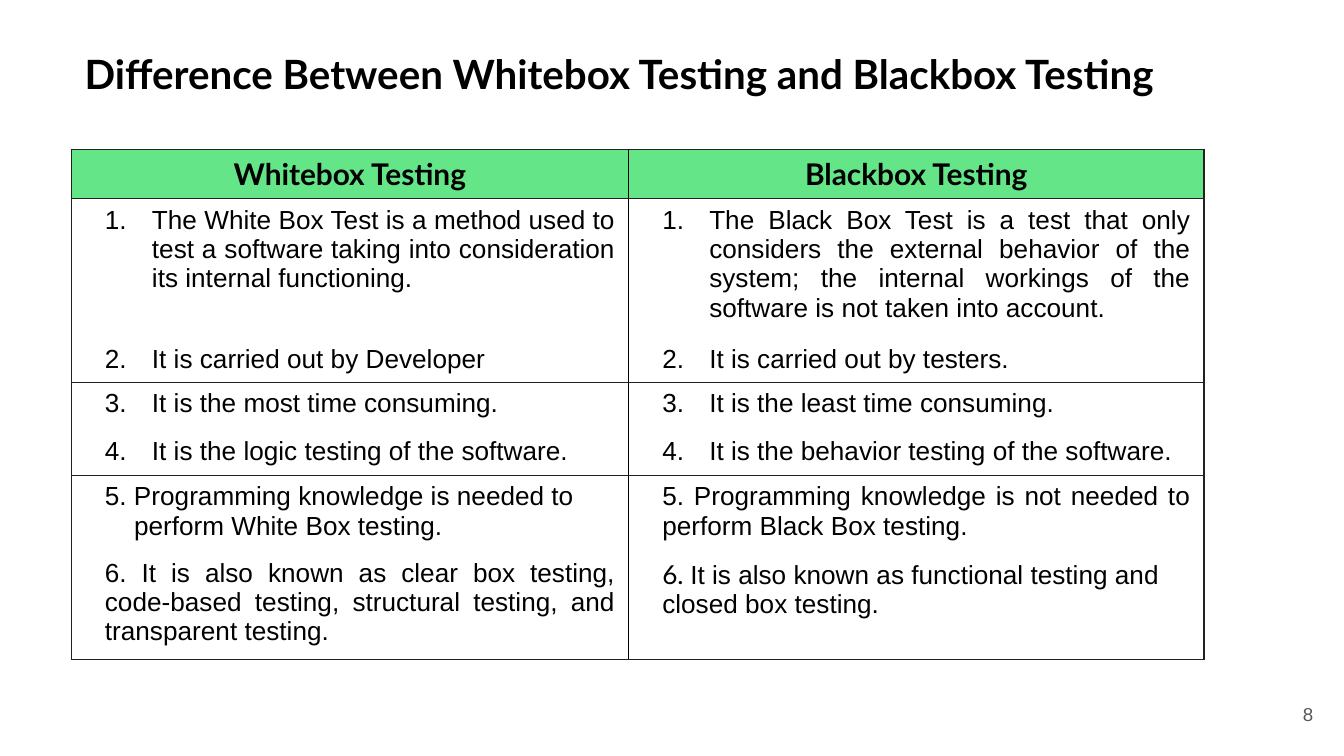
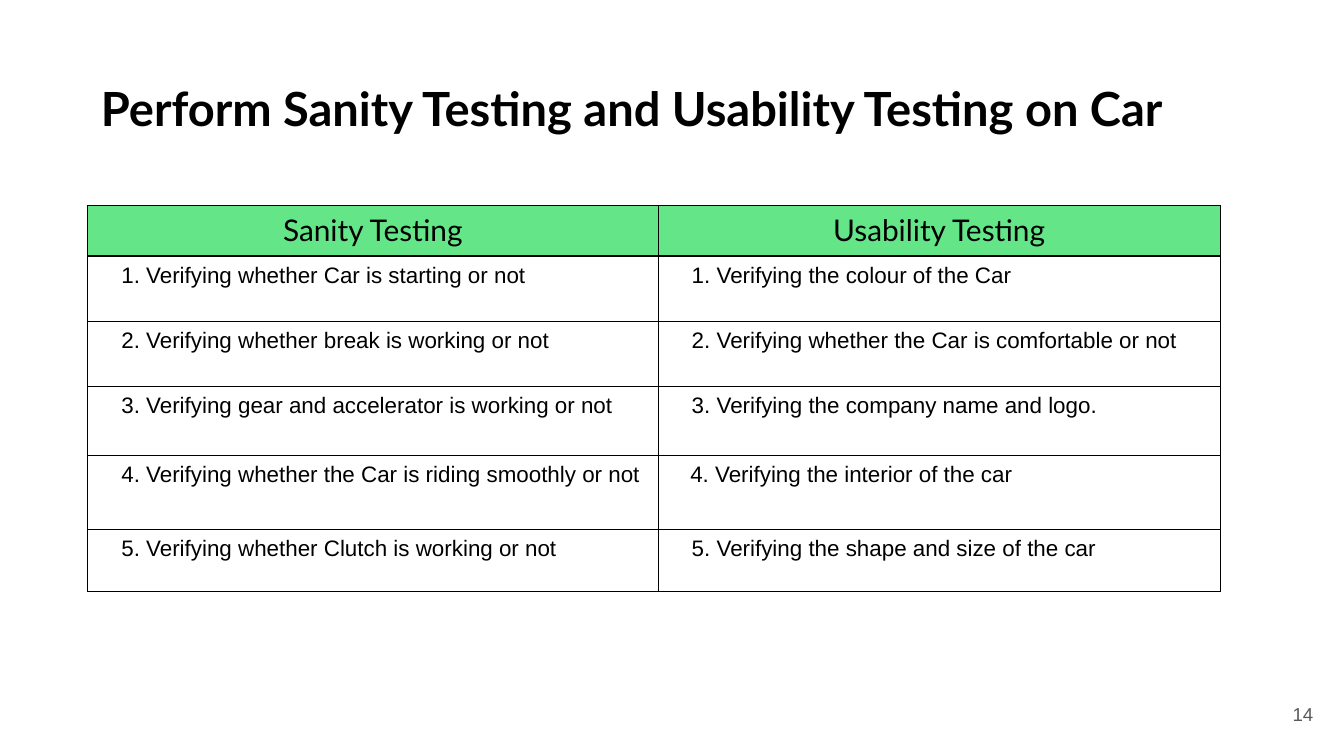
from dataclasses import dataclass

from lxml.etree import SubElement
from pptx import Presentation
from pptx.dml.color import RGBColor
from pptx.enum.text import MSO_ANCHOR as Anchor, PP_ALIGN as Align
from pptx.oxml.ns import qn
from pptx.util import Pt

COLORS = {
    "text": "000000",
    "number": "595959",
    "header": "64E688",
    "charcoal": "212121",
    "black": "000000",
}
HEADING_FONT, BODY_FONT = "Lato", "Arial"
BORDER_WIDTH = 0.75
INSET = 7.2
MARGIN = 10.8


@dataclass
class Entry:
    text: str
    start: int = 0  # automatic number, 0 for none
    margin: float = MARGIN
    indent: float = 0
    align: Align = Align.LEFT
    lead: str = ""  # typed number set in the heading font


@dataclass
class Comparison:
    title: str
    title_size: float
    title_box: tuple[float, float, float, float]
    page: str
    origin: tuple[float, float]
    columns: tuple[float, float]
    heights: tuple[float, ...]
    headings: tuple[str, str]
    bold_headings: bool
    body_size: float
    outline: str
    entries: list[tuple[Entry, Entry]]
    open_rows: tuple[int, ...] = ()  # rows with no line below


def numbered(start: int, text: str) -> Entry:
    return Entry(text, start, 36, -25.2, Align.JUSTIFY)


def justified(text: str) -> Entry:
    return Entry(text, align=Align.JUSTIFY)


COMPARISONS = [
    Comparison(
        title="Difference Between Whitebox Testing and Blackbox Testing",
        title_size=21.6,
        title_box=(38.2, 19.4, 685.4, 36.7),
        page="8",
        origin=(38.2, 80),
        columns=(298.6, 308.2),
        heights=(26.4, 70, 23, 25.7, 23.3, 38.6, 56.5),
        headings=("Whitebox Testing", "Blackbox Testing"),
        bold_headings=True,
        body_size=14,
        outline="charcoal",
        open_rows=(1, 3, 5),
        entries=[
            (numbered(1, "The White Box Test is a method used to test a software "
                         "taking into consideration its internal functioning."),
             numbered(1, "The Black Box Test is a test that only considers the "
                         "external behavior of the system; the internal workings "
                         "of the software is not taken into account.")),
            (numbered(2, "It is carried out by Developer"),
             numbered(2, "It is carried out by testers.")),
            (numbered(3, "It is the most time consuming."),
             numbered(3, "It is the least time consuming.")),
            (numbered(4, "It is the logic testing of the software."),
             numbered(4, "It is the behavior testing of the software.")),
            (Entry("5. Programming knowledge is needed to perform White Box testing.",
                   margin=26.4, indent=-15.6),
             justified("5. Programming knowledge is not needed to perform "
                       "Black Box testing.")),
            (justified("6. It is also known as clear box testing, code-based "
                       "testing, structural testing, and transparent testing."),
             Entry("It is also known as functional testing and closed box testing.",
                   lead="6. ")),
        ],
    ),
    Comparison(
        title="Perform Sanity Testing and Usability Testing on Car",
        title_size=25.2,
        title_box=(47, 35.3, 648.7, 45.4),
        page="14",
        origin=(47, 110.2),
        columns=(305.6, 301.2),
        heights=(27, 35, 35, 37, 39.6, 33),
        headings=("Sanity Testing", "Usability Testing"),
        bold_headings=False,
        body_size=12,
        outline="black",
        entries=[
            (Entry("1. Verifying whether Car is starting or not"),
             Entry("1. Verifying the colour of the Car")),
            (Entry("2. Verifying whether break is working or not"),
             Entry("2. Verifying whether the Car is comfortable or not")),
            (Entry("3. Verifying gear and accelerator is working or not"),
             Entry("3. Verifying the company name and logo.")),
            (Entry("4. Verifying whether the Car is riding smoothly or not"),
             Entry("4. Verifying the interior of the car", margin=10)),
            (Entry("5. Verifying whether Clutch is working or not"),
             Entry("5. Verifying the shape and size of the car")),
        ],
    ),
]


def rgb(name: str) -> RGBColor:
    return RGBColor.from_string(COLORS[name])


def set_font(paragraph, name: str, size: float, color: str = "text",
             bold: bool = False) -> None:
    font = paragraph.font
    font.name, font.size, font.bold = name, Pt(size), bold
    font.color.rgb = rgb(color)


def add_label(slide, box: tuple[float, float, float, float], text: str,
              anchor: Anchor, align: Align):
    frame = slide.shapes.add_textbox(*map(Pt, box)).text_frame
    frame.word_wrap = True
    frame.vertical_anchor = anchor
    frame.margin_left = frame.margin_right = Pt(INSET)
    frame.margin_top = frame.margin_bottom = Pt(INSET)
    label = frame.paragraphs[0]
    label.text, label.alignment = text, align
    return label


def set_borders(cell, sides: dict[str, str | None]) -> None:
    """Draw the sides L, R, T, B; a side without a colour stays open."""
    properties = cell._tc.get_or_add_tcPr()
    for place, (side, color) in enumerate(sides.items()):
        line = SubElement(properties, qn(f"a:ln{side}"), w=str(Pt(BORDER_WIDTH)))
        if color:
            fill = SubElement(line, qn("a:solidFill"))
            SubElement(fill, qn("a:srgbClr"), val=COLORS[color])
        else:
            SubElement(line, qn("a:noFill"))
        properties.insert(place, line)


def write_entry(cell, entry: Entry, size: float) -> None:
    paragraph = cell.text_frame.paragraphs[0]
    paragraph.alignment = entry.align
    properties = paragraph._p.get_or_add_pPr()
    properties.set("marL", str(Pt(entry.margin)))
    properties.set("indent", str(Pt(entry.indent)))
    if entry.start:
        color = SubElement(properties, qn("a:buClr"))
        SubElement(color, qn("a:srgbClr"), val=COLORS["text"])
        SubElement(properties, qn("a:buFont"), typeface=BODY_FONT)
        SubElement(properties, qn("a:buAutoNum"), type="arabicPeriod",
                   startAt=str(entry.start))
    set_font(paragraph, BODY_FONT, size)
    if entry.lead:
        lead = paragraph.add_run()
        lead.text, lead.font.name = entry.lead, HEADING_FONT
    paragraph.add_run().text = entry.text


def add_comparison_table(slide, topic: Comparison) -> None:
    row_count = len(topic.heights)
    table = slide.shapes.add_table(
        row_count, 2, *map(Pt, topic.origin),
        Pt(sum(topic.columns)), Pt(sum(topic.heights))).table
    table.first_row = table.horz_banding = False
    for column, width in zip(table.columns, topic.columns):
        column.width = Pt(width)
    for row, height in zip(table.rows, topic.heights):
        row.height = Pt(height)

    for r in range(row_count):
        for c in range(2):
            cell = table.cell(r, c)
            cell.margin_left = cell.margin_right = Pt(INSET)
            cell.margin_top = cell.margin_bottom = Pt(INSET / 2)
            if r == 0:
                cell.fill.solid()
                cell.fill.fore_color.rgb = rgb("header")
                heading = cell.text_frame.paragraphs[0]
                heading.text, heading.alignment = topic.headings[c], Align.CENTER
                set_font(heading, HEADING_FONT, 16, bold=topic.bold_headings)
            else:
                cell.fill.background()
                write_entry(cell, topic.entries[r - 1][c], topic.body_size)
            set_borders(cell, {
                "L": "black" if c else topic.outline,
                "R": topic.outline if c else "black",
                "T": None if r - 1 in topic.open_rows else topic.outline,
                "B": None if r in topic.open_rows else topic.outline,
            })


def add_comparison_slide(deck, topic: Comparison) -> None:
    slide = deck.slides.add_slide(deck.slide_layouts[6])
    # Title
    title = add_label(slide, topic.title_box, topic.title, Anchor.TOP, Align.LEFT)
    set_font(title, HEADING_FONT, topic.title_size, bold=True)
    # Page number
    page = add_label(slide, (667.4, 367.2, 43.2, 31), topic.page,
                     Anchor.MIDDLE, Align.RIGHT)
    set_font(page, BODY_FONT, 10, "number")
    # Two-column comparison
    add_comparison_table(slide, topic)


def main() -> None:
    deck = Presentation()
    deck.slide_width, deck.slide_height = Pt(720), Pt(405)
    for topic in COMPARISONS:
        add_comparison_slide(deck, topic)
    deck.save("out.pptx")


if __name__ == "__main__":
    main()
